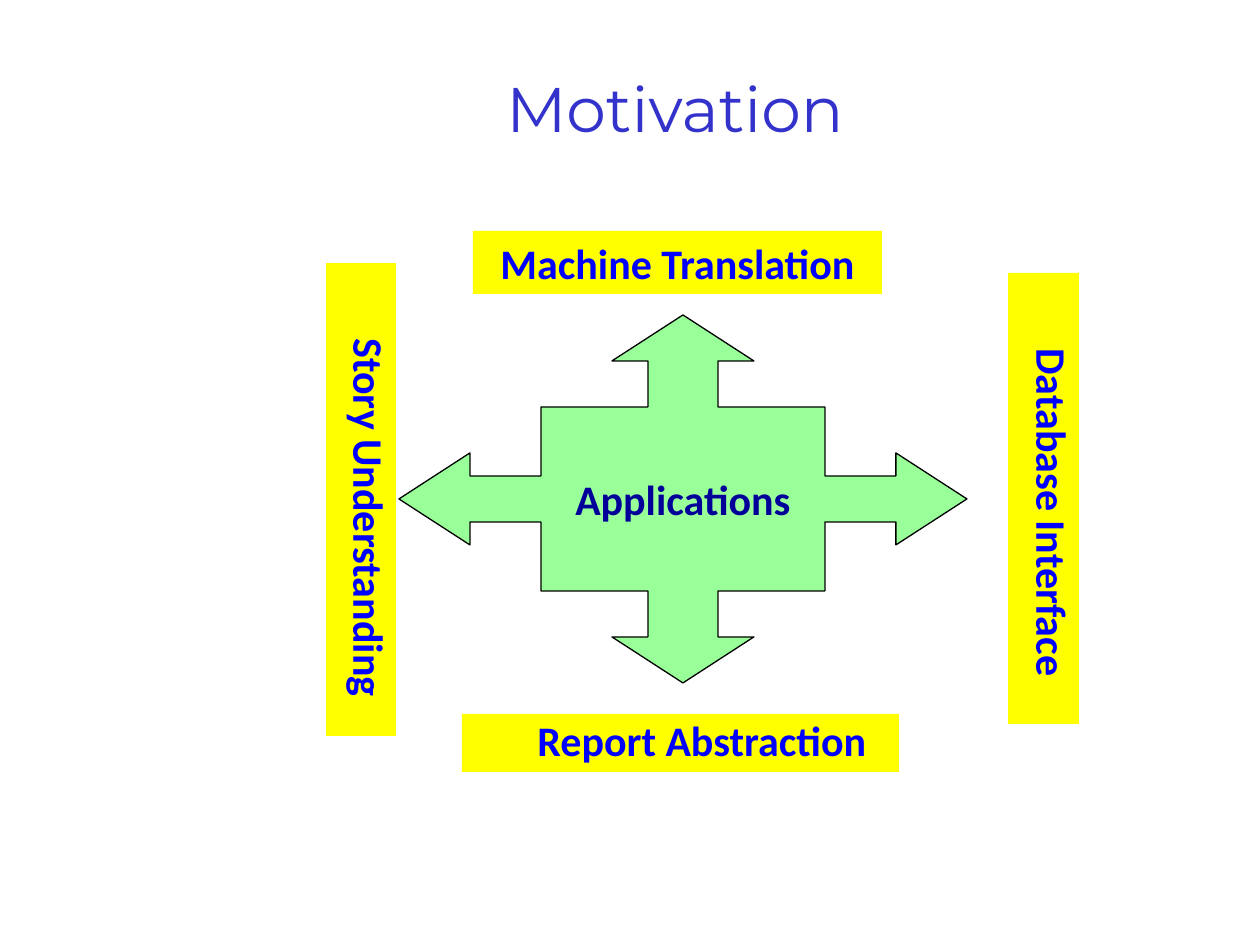
from dataclasses import dataclass

from pptx import Presentation, util as u
from pptx.dml.color import RGBColor
from pptx.enum import shapes, text

PX = u.Inches(1) / 126


@dataclass(frozen=True)
class Theme:
    title: str = "3333CC"
    label: str = "0000FF"
    hub: str = "000099"
    hub_fill: str = "99FF99"
    label_fill: str = "FFFF00"
    line: str = "000000"
    title_font: str = "Montserrat"
    body_font: str = "Calibri"
    title_size: int = 36
    body_size: int = 24


@dataclass(frozen=True)
class Box:
    caption: str
    left: int
    top: int
    width: int
    height: int
    centred: bool = False
    vertical: bool = False
    wrap: bool = True


THEME = Theme()
TITLE = Box("Motivation", 494, 63, 362, 89, centred=True, wrap=False)
LABELS = [
    Box("Machine Translation", 473, 231, 409, 63, centred=True),
    Box("Database Interface", 1008, 273, 71, 451, vertical=True),
    Box("Report Abstraction", 462, 714, 437, 58, wrap=False),
    Box("Story Understanding", 326, 263, 70, 473, vertical=True),
]
HUB_CENTRE = (683, 499)
HUB_QUADRANT = [
    (0, -184), (71, -138), (35, -138), (35, -92), (142, -92),
    (142, -23), (213, -23), (213, -46), (284, 0),
]


def px(n: int) -> int:
    return round(n * PX)


def rgb(value: str) -> RGBColor:
    return RGBColor.from_string(value)


def bounds(box: Box) -> list[int]:
    return [px(n) for n in (box.left, box.top, box.width, box.height)]


def add_run(p, caption: str, font: str, size: int, color: str, bold: bool) -> None:
    r = p.add_run()
    r.text = caption
    r.font.name = font
    r.font.size = u.Pt(size)
    r.font.bold = bold
    r.font.color.rgb = rgb(color)


def draw_title(s, box: Box) -> None:
    tf = s.shapes.add_textbox(*bounds(box)).text_frame
    tf.word_wrap = box.wrap
    p = tf.paragraphs[0]
    p.alignment = text.PP_ALIGN.CENTER
    add_run(p, box.caption, THEME.title_font, THEME.title_size, THEME.title, False)


def draw_hub(s, caption: str) -> None:
    right = HUB_QUADRANT + [(x, -y) for x, y in HUB_QUADRANT[-2::-1]]
    outline = right + [(-x, y) for x, y in right[-2:0:-1]]
    cx, cy = HUB_CENTRE
    points = [(cx + x, cy + y) for x, y in outline]
    fb = s.shapes.build_freeform(*points[0], scale=PX)
    fb.add_line_segments(points[1:], close=True)
    sp = fb.convert_to_shape()
    sp.shadow.inherit = False
    sp.fill.solid()
    sp.fill.fore_color.rgb = rgb(THEME.hub_fill)
    sp.line.color.rgb = rgb(THEME.line)
    sp.line.width = u.Pt(0.75)
    tf = sp.text_frame
    tf.word_wrap = False
    tf.vertical_anchor = text.MSO_ANCHOR.MIDDLE
    p = tf.paragraphs[0]
    p.alignment = text.PP_ALIGN.CENTER
    add_run(p, caption, THEME.body_font, THEME.body_size, THEME.hub, True)


def draw_label(s, box: Box) -> None:
    sp = s.shapes.add_shape(shapes.MSO_SHAPE.RECTANGLE, *bounds(box))
    sp.shadow.inherit = False
    sp.fill.solid()
    sp.fill.fore_color.rgb = rgb(THEME.label_fill)
    sp.line.fill.background()
    tf = sp.text_frame
    tf.word_wrap = box.wrap
    tf.auto_size = text.MSO_AUTO_SIZE.SHAPE_TO_FIT_TEXT
    tf.vertical_anchor = text.MSO_ANCHOR.TOP
    if box.vertical:
        tf._txBody.bodyPr.set("vert", "eaVert")
    p = tf.paragraphs[0]
    if box.centred:
        p.alignment = text.PP_ALIGN.CENTER
    else:
        p.alignment = text.PP_ALIGN.LEFT
        p.level = 1
        p.line_spacing = 0.9
        pPr = p._p.get_or_add_pPr()
        pPr.set("marL", str(u.Inches(0.5)))
        pPr.set("indent", "0")
    add_run(p, box.caption, THEME.body_font, THEME.body_size, THEME.label, True)


def main() -> None:
    prs = Presentation()
    prs.slide_width, prs.slide_height = px(1260), px(945)
    s = prs.slides.add_slide(prs.slide_layouts[6])
    draw_hub(s, "Applications")
    for box in LABELS:
        draw_label(s, box)
    draw_title(s, TITLE)
    prs.save("out.pptx")


if __name__ == "__main__":
    main()
